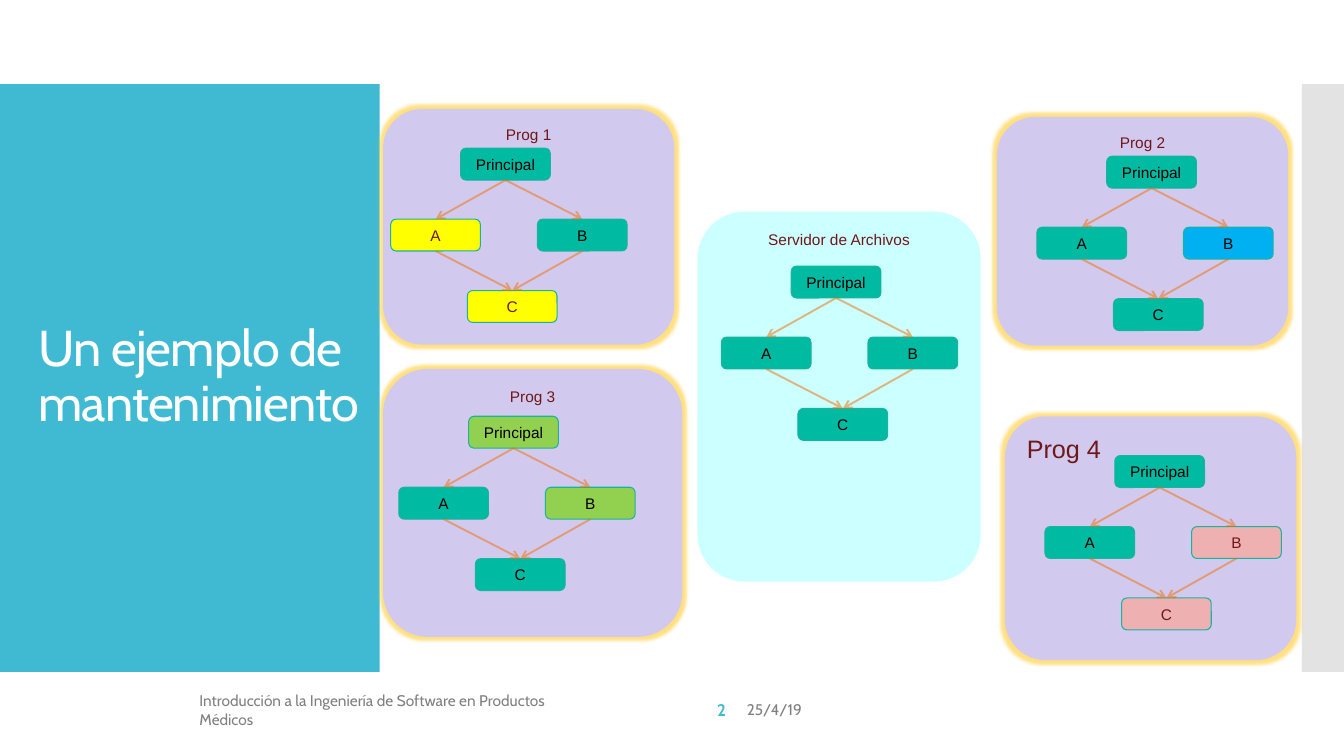
from dataclasses import dataclass, field

from lxml import etree
from pptx import Presentation
from pptx import util as u
from pptx.dml import color
from pptx.enum import shapes, text
from pptx.oxml import ns

COLUMNS, ROWS = 160, 90
WIDTH, HEIGHT = u.Inches(13.33), u.Inches(7.5)

TEAL, WHITE, BLACK, MAROON, GREY = "40BAD2", "FFFFFF", "000000", "6F181A", "808080"
LILAC, JADE, YELLOW, PINK, LIME = "D2CAEE", "00BAA2", "FFFF00", "EEB0B1", "92D050"

MODULES = {
    "Principal": (0, 0),
    "A": (-8.32, 8.45),
    "B": (9.14, 8.45),
    "C": (0.8, 16.95),
}
CALLS = [("Principal", "A"), ("Principal", "B"), ("A", "C"), ("B", "C")]


@dataclass
class Box:
    left: float
    top: float
    width: float
    height: float

    def emu(self) -> tuple[int, ...]:
        """Turn grid columns and rows into slide lengths."""
        x, y = WIDTH / COLUMNS, HEIGHT / ROWS
        return tuple(round(n) for n in (self.left * x, self.top * y, self.width * x, self.height * y))


@dataclass
class Style:
    size: float
    color: str
    font: str = "Arial"
    align: text.PP_ALIGN = text.PP_ALIGN.CENTER
    anchor: text.MSO_ANCHOR = text.MSO_ANCHOR.MIDDLE
    bold: bool = False


@dataclass
class Program:
    name: str
    box: Box
    main: tuple[float, float]
    changed: dict[str, str] = field(default_factory=dict)
    fill: str = LILAC
    glow: bool = True
    size: float = 11
    align: text.PP_ALIGN = text.PP_ALIGN.CENTER


PROGRAMS = [
    Program("Prog 3", Box(45.6, 43.92, 35.64, 31.92), (55.8, 49.56),
            {"Principal": LIME, "B": LIME}),
    Program("Prog 1", Box(45.6, 12.96, 34.68, 28.08), (54.84, 17.64),
            {"A": YELLOW, "C": YELLOW}),
    Program("Prog 4", Box(119.64, 49.56, 34.68, 29.04), (132.72, 54.24),
            {"B": PINK, "C": PINK}, size=18, align=text.PP_ALIGN.LEFT),
    Program("Prog 2", Box(118.68, 13.92, 34.68, 27.24), (131.76, 18.6),
            {"B": "00B0F0"}),
    Program("Servidor de Archivos", Box(83.04, 25.2, 33.72, 44.04), (94.2, 31.68),
            fill="CCFFFF", glow=False),
]

LEFT, RIGHT = text.PP_ALIGN.LEFT, text.PP_ALIGN.RIGHT
FOOTERS = [
    ("25/4/19", Box(87.72, 82.08, 49.68, 4.8), Style(11, GREY, "Cabin", LEFT)),
    ("Introducción a la Ingeniería de Software en Productos Médicos",
     Box(22.56, 82.08, 49.68, 4.8), Style(11, GREY, "Cabin", LEFT)),
    ("2", Box(72.36, 82.08, 15.24, 4.8), Style(12, TEAL, "Cabin", RIGHT, bold=True)),
]


def paint(target, value: str, opacity: int = 100) -> None:
    """Give a fill a solid colour and an opacity in percent."""
    target.solid()
    target.fore_color.rgb = color.RGBColor.from_string(value)
    if opacity < 100:
        for tint in target._xPr.iter(ns.qn("a:srgbClr")):
            etree.SubElement(tint, ns.qn("a:alpha"), val=str(opacity * 1000))


def write(shape, words: str, style: Style) -> None:
    """Put styled text into a shape."""
    frame = shape.text_frame
    frame.text = words
    frame.word_wrap = True
    frame.auto_size = text.MSO_AUTO_SIZE.NONE
    frame.vertical_anchor = style.anchor
    paragraph = frame.paragraphs[0]
    paragraph.alignment = style.align
    for run in paragraph.runs:
        run.font.name, run.font.size, run.font.bold = style.font, u.Pt(style.size), style.bold
        run.font.color.rgb = color.RGBColor.from_string(style.color)


def draw_block(parent, preset, box: Box, fill: str, opacity: int = 100):
    """Draw a filled preset shape without outline or shadow."""
    block = parent.add_shape(preset, *box.emu())
    block.shadow.inherit = False
    paint(block.fill, fill, opacity)
    block.line.fill.background()
    return block


def draw_panel(parent, program: Program) -> None:
    """Draw the rounded panel that holds one program."""
    panel = draw_block(parent, shapes.MSO_SHAPE.ROUNDED_RECTANGLE, program.box, program.fill)
    write(panel, program.name,
          Style(program.size, MAROON, align=program.align, anchor=text.MSO_ANCHOR.TOP))
    if program.glow:
        effects = panel.element.spPr.find(ns.qn("a:effectLst"))
        halo = etree.SubElement(effects, ns.qn("a:glow"), rad=str(u.Pt(5)))
        tint = etree.SubElement(halo, ns.qn("a:srgbClr"), val="FFC000")
        etree.SubElement(tint, ns.qn("a:alpha"), val="50000")


def draw_call(parent, caller, callee) -> None:
    """Draw an arrow from the bottom of one module to the top of another."""
    call = parent.add_connector(shapes.MSO_CONNECTOR.STRAIGHT, 0, 0, 0, 0)
    call.begin_connect(caller, 2)
    call.end_connect(callee, 0)
    call.line.width = u.Pt(1.35)
    paint(call.line.fill, "F16D00", 50)
    etree.SubElement(call.line._get_or_add_ln(), ns.qn("a:tailEnd"), type="arrow")
    etree.SubElement(call.element.spPr, ns.qn("a:effectLst"))


def draw_modules(slide, program: Program) -> None:
    """Draw the four modules of a program and the calls between them."""
    members, drawn = [], {}
    left, top = program.main
    for name, (dx, dy) in MODULES.items():
        fill = program.changed.get(name, JADE)
        module = draw_block(slide.shapes, shapes.MSO_SHAPE.ROUNDED_RECTANGLE,
                            Box(left + dx, top + dy, 10.68, 3.8), fill)
        paint(module.line.fill, "1AB39F")
        module.line.width = u.Pt(0.75)
        write(module, name, Style(11, MAROON if fill in (YELLOW, PINK) else BLACK))
        drawn[name] = module
        members.append(module)
    group = slide.shapes.add_group_shape(members)
    for caller, callee in CALLS:
        draw_call(group.shapes, drawn[caller], drawn[callee])


def place_title(slide) -> None:
    """Set the slide title over the teal band."""
    title = slide.shapes.title
    title.left, title.top, title.width, title.height = Box(3.36, 14.76, 41.04, 60.36).emu()
    write(title, "Un ejemplo de mantenimiento", Style(36, WHITE, "Cabin", LEFT))
    paragraph = title.text_frame.paragraphs[0]
    paragraph.line_spacing = 0.9
    paragraph.runs[0].font._element.set("spc", "-60")
    title.element.getparent().append(title.element)


def main() -> None:
    """Build the slide and save it."""
    deck = Presentation()
    deck.slide_width, deck.slide_height = WIDTH, HEIGHT
    slide = deck.slides.add_slide(deck.slide_layouts[5])
    draw_block(slide.shapes, shapes.MSO_SHAPE.RECTANGLE, Box(0, 10, 45.2, 70), TEAL)
    draw_block(slide.shapes, shapes.MSO_SHAPE.RECTANGLE, Box(155, 10, 5, 70), "C8C8C8", 50)
    for program in PROGRAMS:
        draw_panel(slide.shapes, program)
    place_title(slide)
    for program in PROGRAMS:
        draw_modules(slide, program)
    for words, box, style in FOOTERS:
        write(slide.shapes.add_textbox(*box.emu()), words, style)
    deck.save("out.pptx")


if __name__ == "__main__":
    main()
